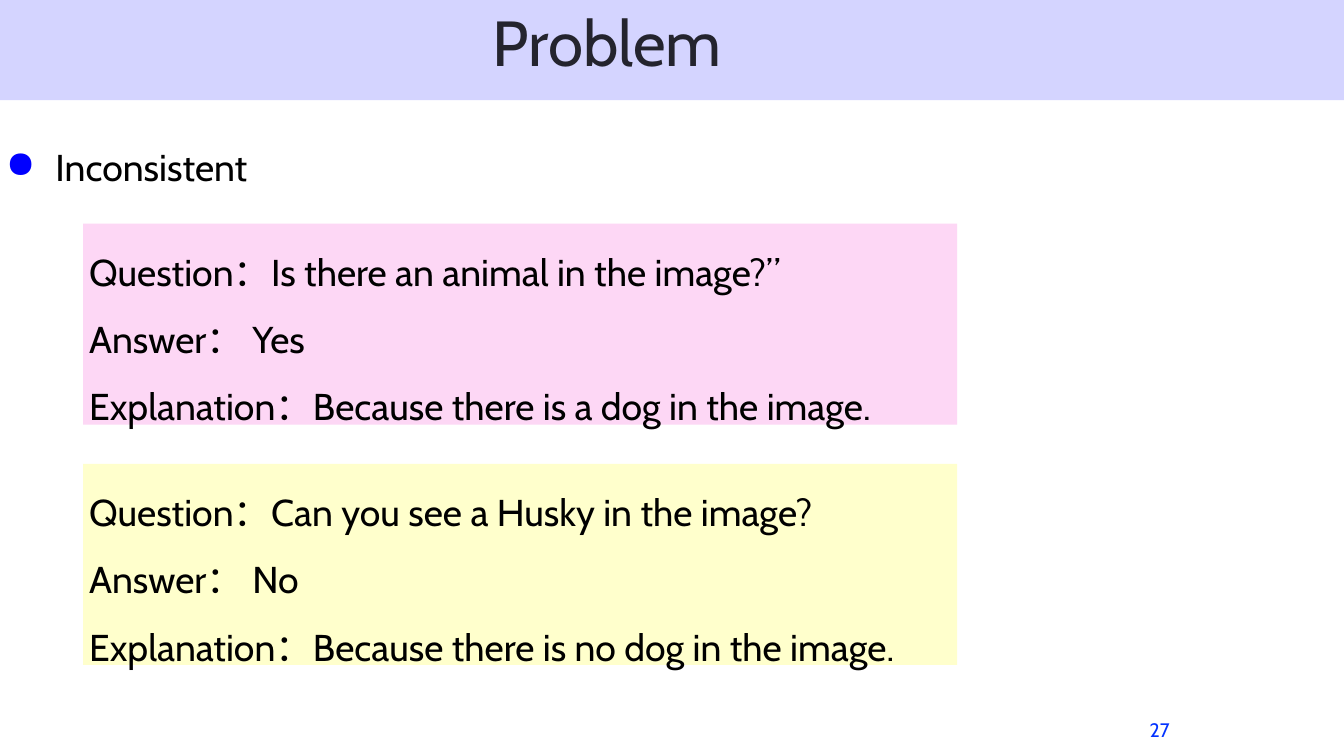
"""Build the "Problem" slide with two inconsistent question and answer examples."""
from lxml.etree import SubElement
from pptx import Presentation
from pptx.dml.color import RGBColor
from pptx.enum.shapes import MSO_SHAPE as Shape
from pptx.enum.text import MSO_ANCHOR as Anchor, PP_ALIGN as Align
from pptx.oxml.ns import qn
from pptx.util import Inches, Pt


def add_box(left, top, width, height, fill=None):
    """Add a rectangle without outline, filled if a colour is given."""
    box = slide.shapes.add_shape(
        Shape.RECTANGLE, Inches(left), Inches(top), Inches(width), Inches(height))
    box.shadow.inherit = False
    box.line.fill.background()
    if fill:
        box.fill.solid()
        box.fill.fore_color.rgb = RGBColor.from_string(fill)
    else:
        box.fill.background()
    return box


def write(box, text, size=44, color="000000", spacing=1.0, inset=None,
          margin=0, hanging=0, bullet=None, bullet_color="0000FF"):
    """Write lines of text into a box, one paragraph for each."""
    frame = box.text_frame
    frame.word_wrap = True
    frame.vertical_anchor = Anchor.TOP
    if inset is not None:
        frame.margin_left = frame.margin_right = Inches(inset)
        frame.margin_top = frame.margin_bottom = Inches(inset)
    for index, line in enumerate(text.split("\n")):
        para = frame.paragraphs[0] if index == 0 else frame.add_paragraph()
        para.alignment = Align.LEFT
        para.line_spacing = spacing
        properties = para._p.get_or_add_pPr()
        properties.set("marL", str(Inches(margin)))
        properties.set("indent", str(-Inches(hanging)))
        if bullet:
            tint = SubElement(properties, qn("a:buClr"))
            SubElement(tint, qn("a:srgbClr"), val=bullet_color)
            SubElement(properties, qn("a:buChar"), char=bullet)
        span = para.add_run()
        span.text = line
        span.font.size = Pt(size)
        span.font.name = "Cabin"
        span.font.color.rgb = RGBColor.from_string(color)


deck = Presentation()
deck.slide_width, deck.slide_height = Inches(21.99), Inches(12.37)
slide = deck.slides.add_slide(deck.slide_layouts[6])

add_box(0, 0, 21.99, 1.64, "D4D4FF")
title = slide.shapes.add_textbox(Inches(8.06), Inches(0.04), Inches(5.88), Inches(1.26))
write(title, "Problem", size=75, color="24242E", inset=0)

topic = slide.shapes.add_textbox(Inches(0), Inches(1.94), Inches(11), Inches(1.08))
write(topic, "Inconsistent", spacing=1.5, margin=0.81, hanging=0.81, bullet="●")

page_number = slide.shapes.add_textbox(
    Inches(18.77), Inches(11.76), Inches(0.64), Inches(0.38))
write(page_number, "27", size=23, color="0433FF", spacing=Pt(26.8), inset=0, margin=0.04)

examples = [
    ("FDD7F5", "Is there an animal in the image?”", "Yes",
     "Because there is a dog in the image."),
    ("FFFFCC", "Can you see a Husky in the image?", "No",
     "Because there is no dog in the image."),
]
for row, (fill, question, answer, explanation) in enumerate(examples):
    example = add_box(1.36, 3.66 + row * 3.93, 14.3, 3.29, fill)
    write(example, f"Question：{question}\nAnswer： {answer}\nExplanation：{explanation}",
          spacing=1.5)

deck.save("out.pptx")
